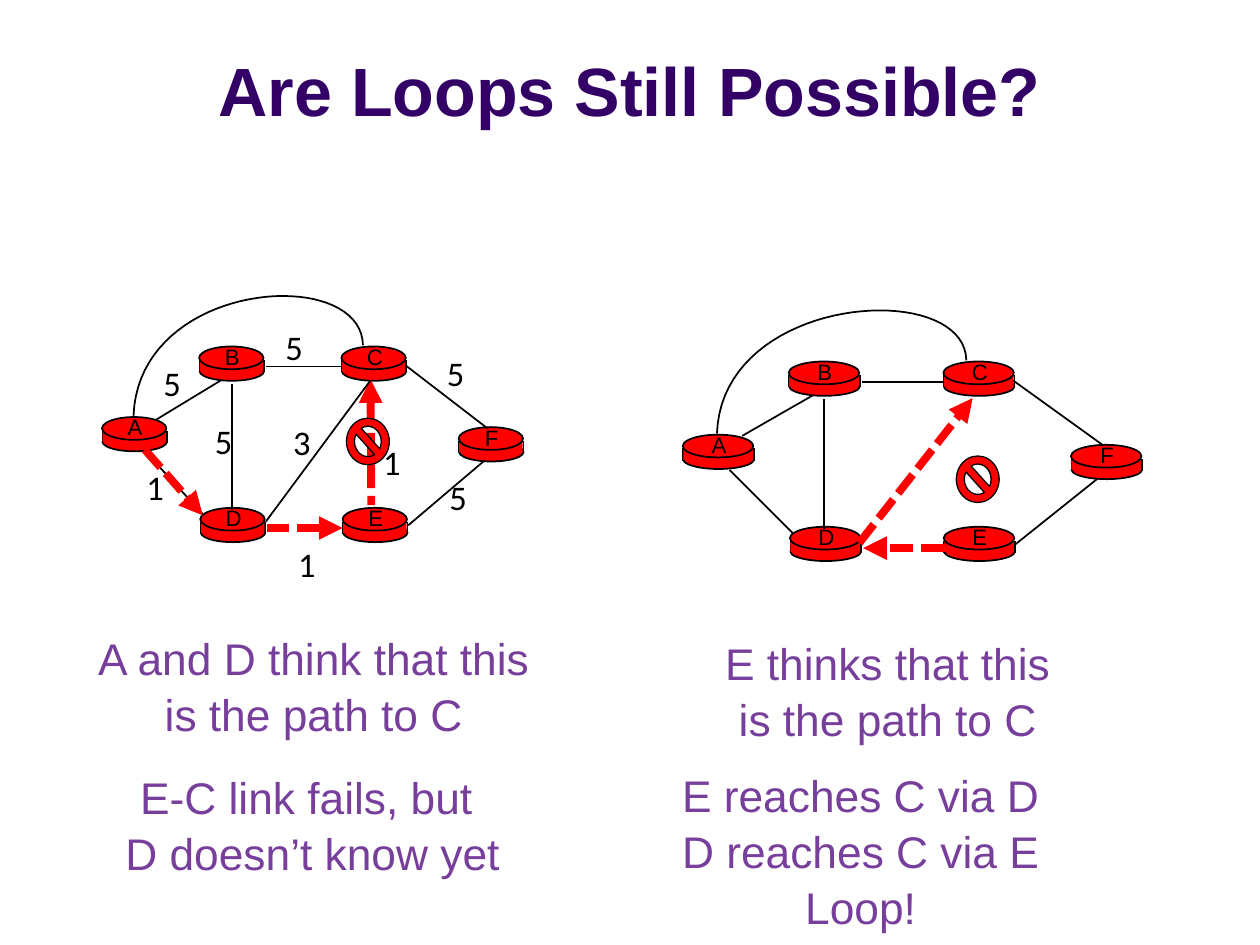
"""Build a slide that shows how a failed link can still create a routing loop."""
from dataclasses import dataclass
from typing import NamedTuple

from lxml import etree
from pptx import Presentation
from pptx import util as u
from pptx.dml.color import RGBColor
from pptx.enum import dml, shapes, text
from pptx.oxml.ns import qn


@dataclass(frozen=True)
class Theme:
    title: str = "330066"
    caption: str = "773F9B"
    ink: str = "000000"
    red: str = "FF0000"
    font: str = "Arial"
    cost_font: str = "Calibri"
    title_size: float = 39
    caption_size: float = 25.3
    cost_size: float = 19.7
    label_size: float = 12.7
    thin: float = 1
    thick: float = 4.5
    sign_line: float = 0.75


class Box(NamedTuple):
    x: float
    y: float
    w: float
    h: float


class Link(NamedTuple):
    x1: float
    y1: float
    x2: float
    y2: float
    arrow: str = ""


class Cost(NamedTuple):
    value: str
    center_x: float
    top: float


class Caption(NamedTuple):
    box: Box
    paragraphs: tuple[str, ...]


@dataclass(frozen=True)
class Network:
    router_width: float
    routers: dict[str, tuple[float, float]]
    back_link: Link
    links: tuple[Link, ...]
    arc: tuple[tuple[float, float], ...]
    costs: tuple[Cost, ...] = ()
    sign: Box | None = None


T = Theme()
HEAD, TAIL = "headEnd", "tailEnd"
SIGN_W, SIGN_H = 24.5, 26.6
ARC_STEPS = 40

FIRST = Network(
    36.8,
    {"A": (58.3, 238.3), "B": (113.8, 198), "C": (195.1, 198),
     "D": (114.5, 290.2), "E": (195.8, 290.2), "F": (262.1, 244.1)},
    Link(89.3, 239.8, 129.6, 215.3),
    (Link(211.7, 216.7, 212.2, 288.7, HEAD), Link(132.5, 219.6, 132.5, 291.6),
     Link(151.9, 298.1, 211.7, 217.4), Link(233.3, 300.2, 276.5, 263.5),
     Link(195.8, 301.7, 152.6, 301.7, HEAD), Link(115.9, 293.8, 83.5, 258.5),
     Link(195.1, 209.5, 151.9, 209.5), Link(278.6, 244.8, 231.8, 208.8),
     Link(82.8, 257, 115.9, 294.5, TAIL)),
    ((207.4, 197.3), (206.6, 151.2), (79.2, 159.8), (76.3, 237.6)),
    (Cost("1", 88.6, 263.5), Cost("3", 172.5, 237.6), Cost("1", 175.3, 307.4),
     Cost("1", 223.9, 249.1), Cost("5", 261.7, 269.3), Cost("5", 127.8, 236.9),
     Cost("5", 98.3, 203.8), Cost("5", 168.1, 183.6), Cost("5", 260.3, 198)),
)
SECOND = Network(
    40.3,
    {"A": (390.2, 248.4), "B": (450.7, 206.6), "C": (539.1, 206.6),
     "D": (451.4, 301), "E": (539.3, 301), "F": (612, 254.2)},
    Link(424.1, 249.1, 468, 223.9),
    (Link(470.9, 228.2, 470.9, 302.4), Link(491, 310.3, 555.8, 227.5, TAIL),
     Link(580.3, 311, 627.1, 273.6), Link(540, 313.2, 493.2, 313.2, TAIL),
     Link(452.9, 304.6, 416.9, 268.6), Link(539.3, 218.2, 492.5, 218.2),
     Link(630, 254.2, 578.9, 217.4)),
    ((552.2, 205.9), (551.5, 159.1), (412.6, 167.8), (409.7, 247.7)),
    sign=Box(546.5, 260.6, SIGN_W, SIGN_H),
)
FAILED_LINK_SIGN = Box(198, 239, SIGN_W, SIGN_H)
CAPTIONS = (
    Caption(Box(17.3, 357.1, 324, 68.4), ("A and D think that this\nis the path to C",)),
    Caption(Box(363.6, 360, 287.3, 68.4), ("E thinks that this\nis the path to C",)),
    Caption(Box(16.6, 436.3, 324, 68.4), ("E-C link fails, but ", "D doesn’t know yet")),
    Caption(Box(329.8, 435.6, 324, 99.4),
            ("E reaches C via D", "D reaches C via E", "Loop!")),
)


def add_text(parent, box: Box, paragraphs: tuple[str, ...], size: float, color: str,
             font: str = T.font, bold: bool = False, wrap: bool = True,
             inset: float | None = None, spacing: float | None = None,
             anchor=text.MSO_ANCHOR.MIDDLE) -> None:
    """Add a centred text box; a newline inside a paragraph is a line break."""
    tf = parent.add_textbox(*map(u.Pt, box)).text_frame
    tf.word_wrap = wrap
    tf.vertical_anchor = anchor
    if inset is not None:
        tf.margin_left = tf.margin_right = tf.margin_top = tf.margin_bottom = u.Pt(inset)
    for i, paragraph in enumerate(paragraphs):
        p = tf.add_paragraph() if i else tf.paragraphs[0]
        p.alignment = text.PP_ALIGN.CENTER
        if spacing:
            p.line_spacing = spacing
        for j, words in enumerate(paragraph.split("\n")):
            if j:
                p.add_line_break()
            r = p.add_run()
            r.text = words
            r.font.name, r.font.size, r.font.bold = font, u.Pt(size), bold
            r.font.color.rgb = RGBColor.from_string(color)


def add_red_shape(parent, kind, box: Box, line: float = 0) -> None:
    """Add a red preset shape with an optional black outline."""
    sp = parent.add_shape(kind, *map(u.Pt, box))
    sp.shadow.inherit = False
    sp.fill.solid()
    sp.fill.fore_color.rgb = RGBColor.from_string(T.red)
    if line:
        sp.line.color.rgb = RGBColor.from_string(T.ink)
        sp.line.width = u.Pt(line)
    else:
        sp.line.fill.background()


def add_link(parent, link: Link) -> None:
    """Add a thin link, or a thick dashed red route when it has an arrowhead."""
    c = parent.add_connector(shapes.MSO_CONNECTOR.STRAIGHT, *map(u.Pt, link[:4]))
    c.line.color.rgb = RGBColor.from_string(T.red if link.arrow else T.ink)
    c.line.width = u.Pt(T.thick if link.arrow else T.thin)
    if link.arrow:
        c.line.dash_style = dml.MSO_LINE.SQUARE_DOT
        etree.SubElement(c.line._get_or_add_ln(), qn("a:" + link.arrow), type="triangle")
    etree.SubElement(c._element.spPr, qn("a:effectLst"))


def add_router(parent, x: float, y: float, w: float) -> None:
    """Add a router drawn as a flat red cylinder."""
    oval, rect = shapes.MSO_SHAPE.OVAL, shapes.MSO_SHAPE.RECTANGLE
    add_red_shape(parent, oval, Box(x + 0.3, y + 8.8, w, 10.8), T.thin)
    for side in (x + 0.3, x + 0.3 + w):
        add_link(parent, Link(side, y + 7.9, side, y + 14.8))
    add_red_shape(parent, rect, Box(x + 0.3, y + 7.9, w - 0.5, 6.5))
    add_red_shape(parent, oval, Box(x, y, w, 13), T.thin)


def add_arc(parent, controls: tuple[tuple[float, float], ...]) -> None:
    """Add an open cubic curve through its four control points."""
    points = []
    for i in range(ARC_STEPS + 1):
        t = i / ARC_STEPS
        weights = ((1 - t) ** 3, 3 * t * (1 - t) ** 2, 3 * t * t * (1 - t), t ** 3)
        points.append(tuple(u.Pt(sum(k * c[axis] for k, c in zip(weights, controls)))
                            for axis in (0, 1)))
    fb = parent.build_freeform(*points[0])
    fb.add_line_segments(points[1:], close=False)
    sp = fb.convert_to_shape()
    sp.shadow.inherit = False
    sp.fill.background()
    sp.line.color.rgb = RGBColor.from_string(T.ink)
    sp.line.width = u.Pt(T.thin)


def add_network(s, net: Network) -> None:
    """Add one network as a group."""
    g = s.shapes.add_group_shape().shapes
    add_link(g, net.back_link)
    for x, y in net.routers.values():
        add_router(g, x, y, net.router_width)
    for link in net.links:
        add_link(g, link)
    add_arc(g, net.arc)
    for name, (x, y) in net.routers.items():
        box = Box(x + net.router_width / 2 - 11, y - 5.4, 23, 22.3)
        add_text(g, box, (name,), T.label_size, T.ink, wrap=False,
                 anchor=text.MSO_ANCHOR.TOP)
    for cost in net.costs:
        add_text(g, Box(cost.center_x - 12, cost.top, 24, 29.5), (cost.value,),
                 T.cost_size, T.ink, T.cost_font, inset=2.9)
    if net.sign:
        add_red_shape(g, shapes.MSO_SHAPE.NO_SYMBOL, net.sign, T.sign_line)


def main() -> None:
    """Build and save the slide."""
    prs = Presentation()
    prs.slide_width, prs.slide_height = u.Pt(720), u.Pt(540)
    s = prs.slides.add_slide(prs.slide_layouts[6])
    for caption in CAPTIONS:
        add_text(s.shapes, caption.box, caption.paragraphs, T.caption_size, T.caption,
                 spacing=1.05)
    for net in (SECOND, FIRST):
        add_network(s, net)
    add_red_shape(s.shapes, shapes.MSO_SHAPE.NO_SYMBOL, FAILED_LINK_SIGN, T.sign_line)
    add_text(s.shapes, Box(0, 9.4, 720, 68.4), ("Are Loops Still Possible?",),
             T.title_size, T.title, bold=True, anchor=text.MSO_ANCHOR.BOTTOM)
    prs.save("out.pptx")


if __name__ == "__main__":
    main()
